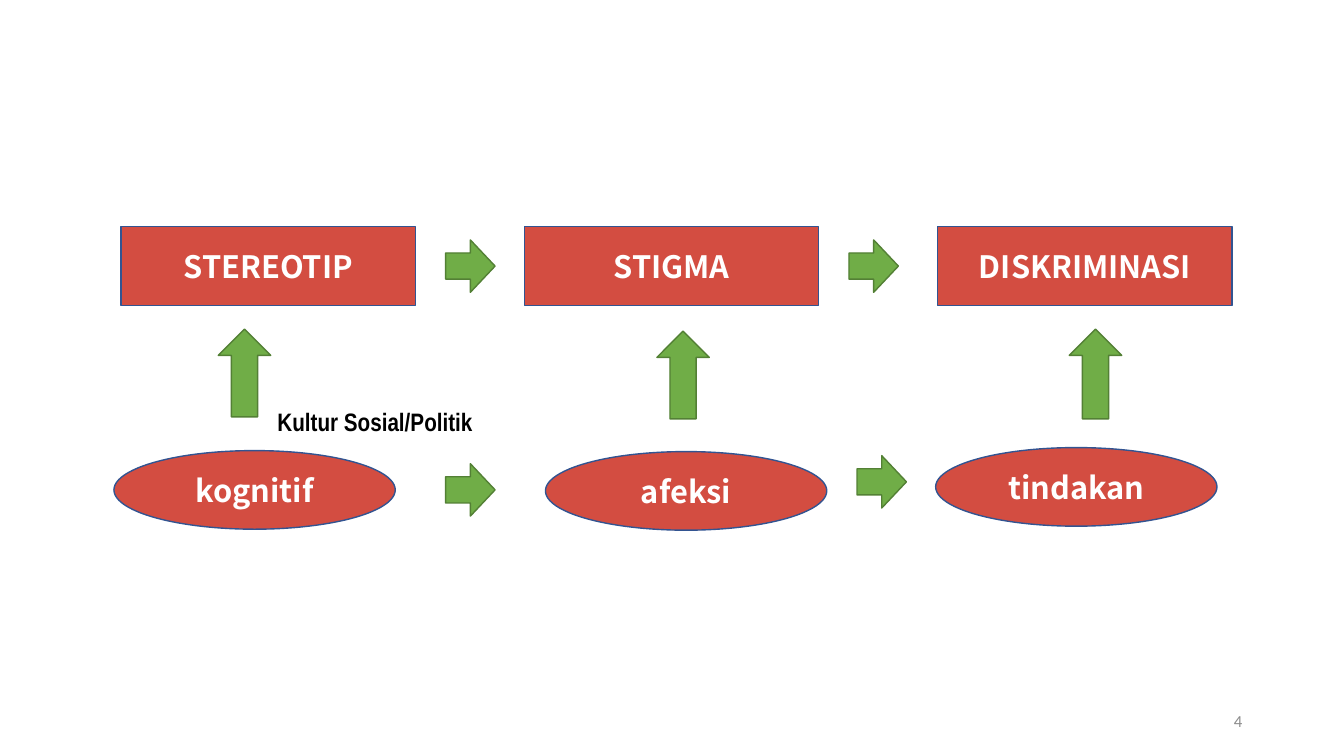
from pptx import Presentation
from pptx.dml.color import RGBColor
from pptx.enum.shapes import MSO_SHAPE
from pptx.enum.text import MSO_ANCHOR, PP_ALIGN
from pptx.util import Inches, Pt

RECTANGLE = MSO_SHAPE.RECTANGLE
OVAL = MSO_SHAPE.OVAL
RIGHT_ARROW = MSO_SHAPE.RIGHT_ARROW
CENTER = PP_ALIGN.CENTER
RIGHT = PP_ALIGN.RIGHT
TOP = MSO_ANCHOR.TOP
MIDDLE = MSO_ANCHOR.MIDDLE

RED, BLUE = "D34D41", "325491"
GREEN, DARK_GREEN = "70AD47", "538035"
WHITE, BLACK, GRAY = "FFFFFF", "000000", "8C8C8C"

NODE_HEIGHT = 0.78
ARROW_LENGTH, ARROW_WIDTH = 0.49, 0.52


def color(hex_code):
    return RGBColor.from_string(hex_code)


def write(holder, text, font, size, ink, bold=False, align=CENTER, anchor=MIDDLE):
    frame = holder.text_frame
    frame.word_wrap = True
    frame.vertical_anchor = anchor
    paragraph = frame.paragraphs[0]
    paragraph.alignment = align
    run = paragraph.add_run()
    run.text = text
    run.font.name = font
    run.font.size = Pt(size)
    run.font.bold = bold
    run.font.color.rgb = color(ink)


def add_figure(slide, preset, box, fill, outline):
    figure = slide.shapes.add_shape(preset, *map(Inches, box))
    figure.shadow.inherit = False
    figure.fill.solid()
    figure.fill.fore_color.rgb = color(fill)
    figure.line.color.rgb = color(outline)
    figure.line.width = Pt(1)
    return figure


def add_label(slide, box, text, **text_format):
    label = slide.shapes.add_textbox(*map(Inches, box))
    write(label, text, **text_format)


def add_node(slide, preset, box, text):
    node = add_figure(slide, preset, box, RED, BLUE)
    write(node, text, font="Noto Sans CJK SC", size=22, ink=WHITE, bold=True)


def add_next_arrow(slide, node_box, gap):
    left, top, width, height = node_box
    arrow_top = top + (height - ARROW_WIDTH) / 2
    box = (left + width + gap, arrow_top, ARROW_LENGTH, ARROW_WIDTH)
    add_figure(slide, RIGHT_ARROW, box, GREEN, DARK_GREEN)


def add_up_arrow(slide, box):
    arrow = add_figure(slide, RIGHT_ARROW, box, GREEN, DARK_GREEN)
    arrow.rotation = 270


def add_concepts(slide, top, width):
    for text, left in (("STEREOTIP", 1.2), ("STIGMA", 5.2), ("DISKRIMINASI", 9.3)):
        box = (left, top, width, NODE_HEIGHT)
        add_node(slide, RECTANGLE, box, text)
        if text != "DISKRIMINASI":
            add_next_arrow(slide, box, gap=0.3)


def add_components(slide, top, width):
    components = (
        ("kognitif", 1.13, 0.03, 0.5, 0),
        ("afeksi", 5.41, 0.04, 0.3, -0.09),
        ("tindakan", 9.28, 0, None, 0),
    )
    for text, left, drop, gap, arrow_shift in components:
        box = (left, top + drop, width, NODE_HEIGHT)
        add_node(slide, OVAL, box, text)
        if gap is not None:
            arrow_base = (left, top + drop + arrow_shift, width, NODE_HEIGHT)
            add_next_arrow(slide, arrow_base, gap)


def add_up_arrows(slide, top):
    for left, drop, length in ((1.99, 0, 0.87), (6.34, 0.02, 0.87), (10.42, 0.01, 0.89)):
        add_up_arrow(slide, (left, top + drop, length, ARROW_WIDTH))


def main():
    deck = Presentation()
    deck.slide_width, deck.slide_height = Inches(13.33), Inches(7.5)
    slide = deck.slides.add_slide(deck.slide_layouts[6])
    add_concepts(slide, top=2.25, width=2.92)
    add_up_arrows(slide, top=3.44)
    add_components(slide, top=4.44, width=2.79)
    add_label(slide, (2.1, 3.98, 3.24, 0.4), "Kultur Sosial/Politik",
              font="Arial Narrow", size=18, ink=BLACK, bold=True, anchor=TOP)
    add_label(slide, (9.42, 6.95, 3, 0.4), "4",
              font="Calibri", size=12, ink=GRAY, align=RIGHT)
    deck.save("out.pptx")


if __name__ == "__main__":
    main()
